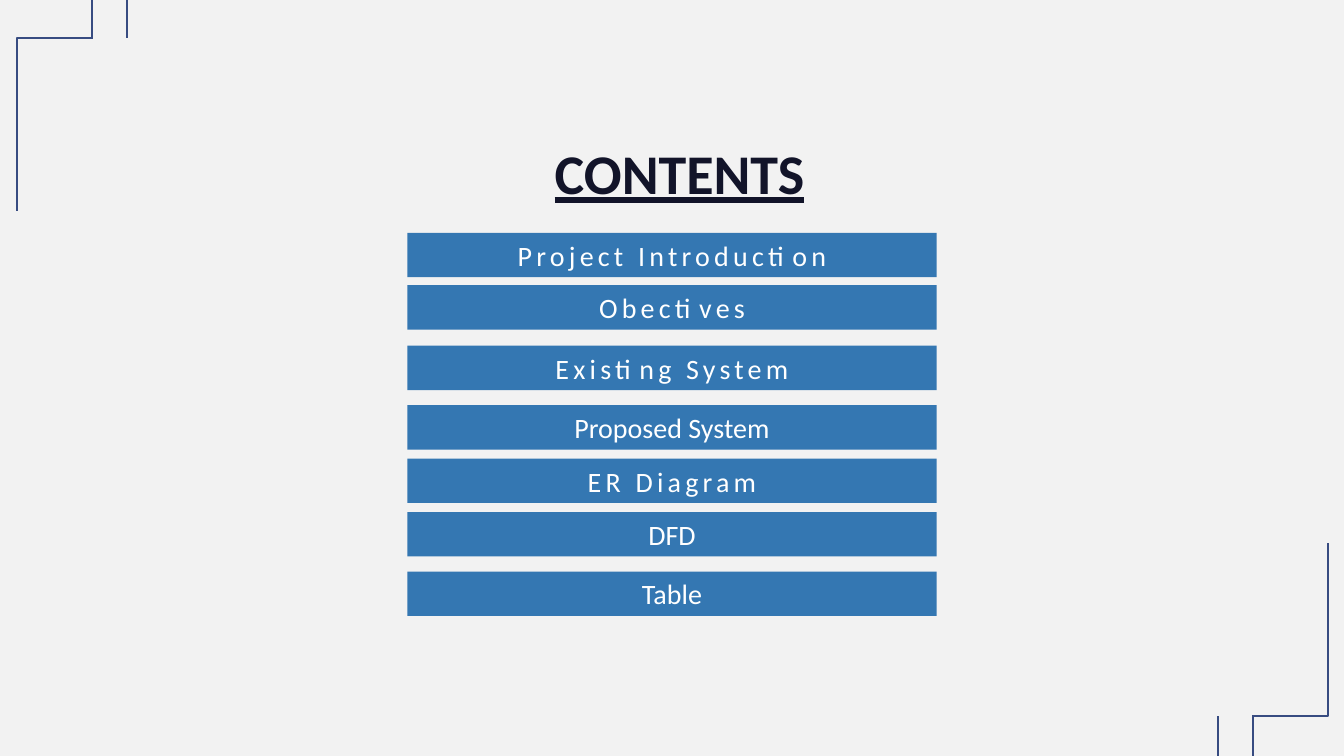
"""Build the contents slide with its bracketed corners and topic bars."""
from dataclasses import dataclass

from lxml import etree
from pptx import Presentation
from pptx.dml.color import RGBColor
from pptx.enum.shapes import MSO_CONNECTOR, MSO_SHAPE
from pptx.enum.text import MSO_ANCHOR, MSO_AUTO_SIZE, PP_ALIGN
from pptx.oxml.ns import qn
from pptx.shapes.autoshape import Shape
from pptx.slide import Slide
from pptx.util import Inches, Pt

RECTANGLE = MSO_SHAPE.RECTANGLE
STRAIGHT = MSO_CONNECTOR.STRAIGHT
CENTER = PP_ALIGN.CENTER
MIDDLE = MSO_ANCHOR.MIDDLE
NO_AUTOFIT = MSO_AUTO_SIZE.NONE

BACKGROUND = RGBColor(0xF2, 0xF2, 0xF2)
CORNER_LINE = RGBColor(0x38, 0x4C, 0x81)
BAR_BLUE = RGBColor(0x34, 0x77, 0xB2)
TITLE_NAVY = RGBColor(0x12, 0x14, 0x29)
WHITE = RGBColor(0xFF, 0xFF, 0xFF)

FONT = "Calibri"
SLIDE_WIDTH, SLIDE_HEIGHT = 13.33, 7.5
LINE_WIDTH = 1.5
BAR_LEFT, BAR_WIDTH, BAR_HEIGHT = 4.04, 5.25, 0.44


@dataclass(frozen=True)
class Topic:
    label: str
    top: float
    spacing: float = 0


@dataclass(frozen=True)
class Corner:
    outer_x: float
    inner_x: float
    bend_y: float
    tip_y: float
    edge_y: float
    tick_xs: tuple[float, float]


TOPICS = (
    Topic("Project Introduction", 2.31, spacing=3),
    Topic("Obectives", 2.83, spacing=3),
    Topic("Existing System", 3.43, spacing=3),
    Topic("Proposed System", 4.02),
    Topic("ER Diagram", 4.55, spacing=3),
    Topic("DFD", 5.08),
    Topic("Table", 5.67),
)
CORNERS = (
    Corner(0.17, 0.92, 0.38, 2.09, 0, (0.91, 1.26)),
    Corner(13.17, 12.42, 7.1, 5.39, SLIDE_HEIGHT, (12.43, 12.08)),
)


def write_text(shape: Shape, text: str, *, size: float, color: RGBColor,
               bold: bool = False, underline: bool = False,
               spacing: float = 0) -> None:
    """Write one centred line of formatted text into a shape."""
    frame = shape.text_frame
    frame.word_wrap = True
    frame.auto_size = NO_AUTOFIT
    frame.vertical_anchor = MIDDLE
    paragraph = frame.paragraphs[0]
    paragraph.alignment = CENTER
    run = paragraph.add_run()
    run.text = text
    font = run.font
    font.name, font.size = FONT, Pt(size)
    font.bold, font.underline = bold, underline
    font.color.rgb = color
    if spacing:
        run._r.get_or_add_rPr().set("spc", str(round(spacing * 100)))


def draw_corner(slide: Slide, corner: Corner) -> None:
    """Draw a corner bracket and the two ticks that reach the slide edge."""
    builder = slide.shapes.build_freeform(
        Inches(corner.inner_x), Inches(corner.bend_y))
    builder.add_line_segments([
        (Inches(corner.outer_x), Inches(corner.bend_y)),
        (Inches(corner.outer_x), Inches(corner.tip_y)),
    ], close=False)
    bracket = builder.convert_to_shape()
    bracket.shadow.inherit = False
    bracket.fill.background()
    bracket.line.color.rgb = CORNER_LINE
    bracket.line.width = Pt(LINE_WIDTH)
    for tick_x in corner.tick_xs:
        tick = slide.shapes.add_connector(
            STRAIGHT, Inches(tick_x), Inches(corner.edge_y),
            Inches(tick_x), Inches(corner.bend_y))
        tick.line.color.rgb = CORNER_LINE
        tick.line.width = Pt(LINE_WIDTH)
        etree.SubElement(tick._element.spPr, qn("a:effectLst"))


def draw_topic(slide: Slide, topic: Topic) -> None:
    """Draw one topic bar."""
    bar = slide.shapes.add_shape(
        RECTANGLE, Inches(BAR_LEFT), Inches(topic.top),
        Inches(BAR_WIDTH), Inches(BAR_HEIGHT))
    bar.shadow.inherit = False
    bar.fill.solid()
    bar.fill.fore_color.rgb = BAR_BLUE
    bar.line.fill.background()
    write_text(bar, topic.label, size=20, color=WHITE, spacing=topic.spacing)


def main() -> None:
    """Build and save the presentation."""
    presentation = Presentation()
    presentation.slide_width = Inches(SLIDE_WIDTH)
    presentation.slide_height = Inches(SLIDE_HEIGHT)
    title_only = presentation.slide_layouts.get_by_name("Title Only")
    slide = presentation.slides.add_slide(title_only)
    slide.background.fill.solid()
    slide.background.fill.fore_color.rgb = BACKGROUND

    title = slide.shapes.title
    title.left, title.top = Inches(4.79), Inches(1.32)
    title.width, title.height = Inches(3.9), Inches(0.77)
    write_text(title, "CONTENTS", size=40, color=TITLE_NAVY,
               bold=True, underline=True)

    for corner in CORNERS:
        draw_corner(slide, corner)
    for topic in TOPICS:
        draw_topic(slide, topic)
    presentation.save("out.pptx")


if __name__ == "__main__":
    main()
